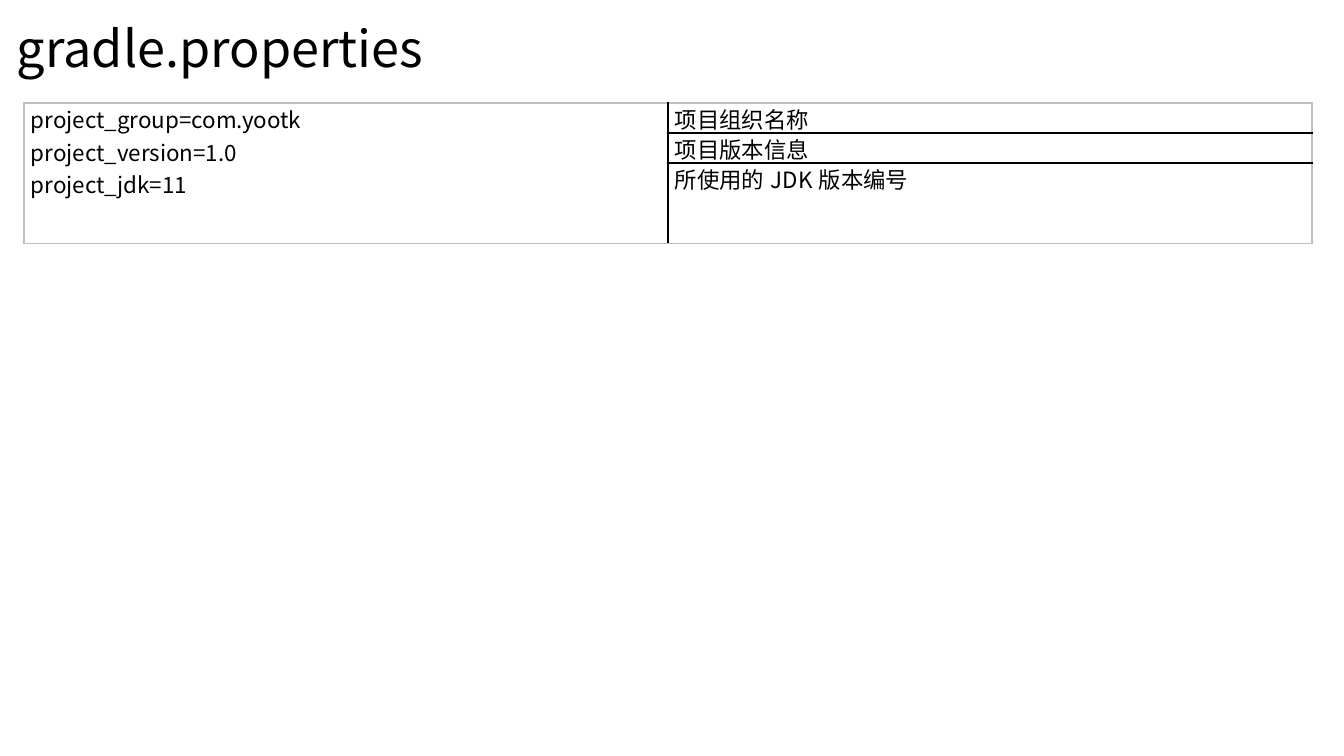
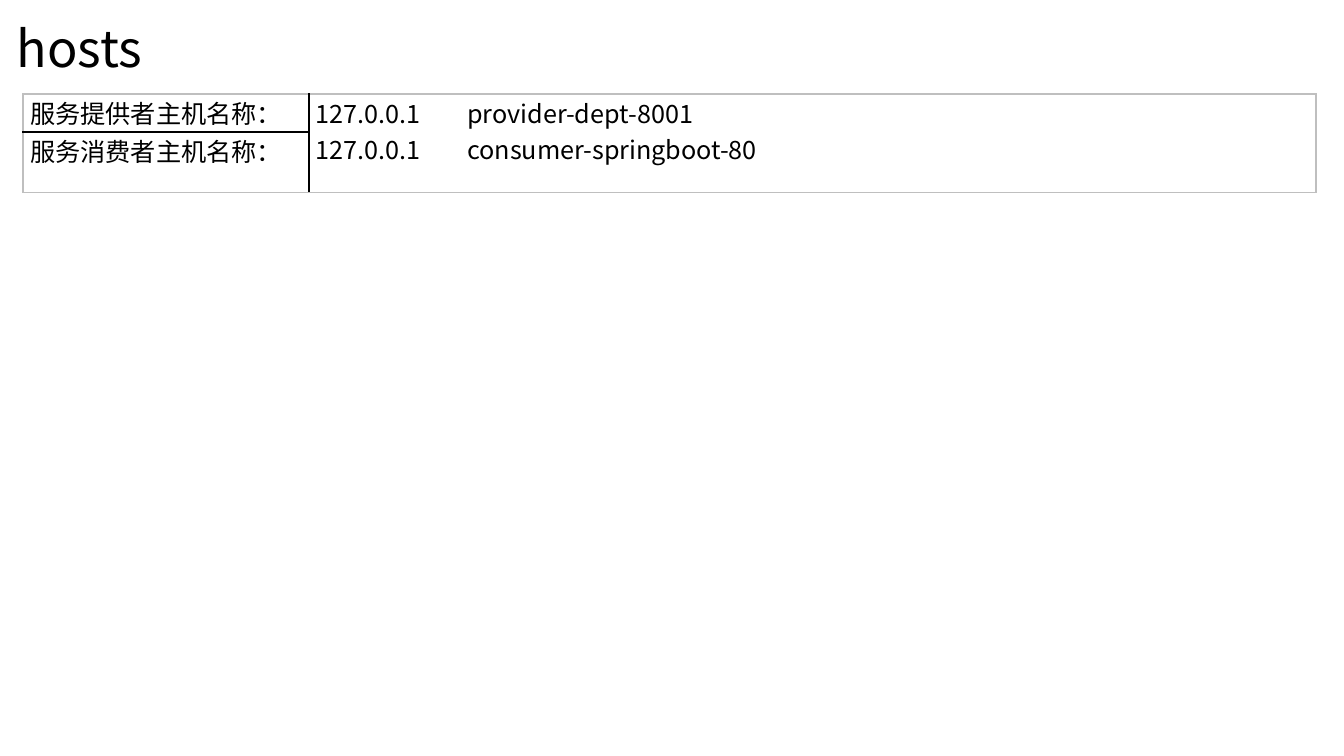
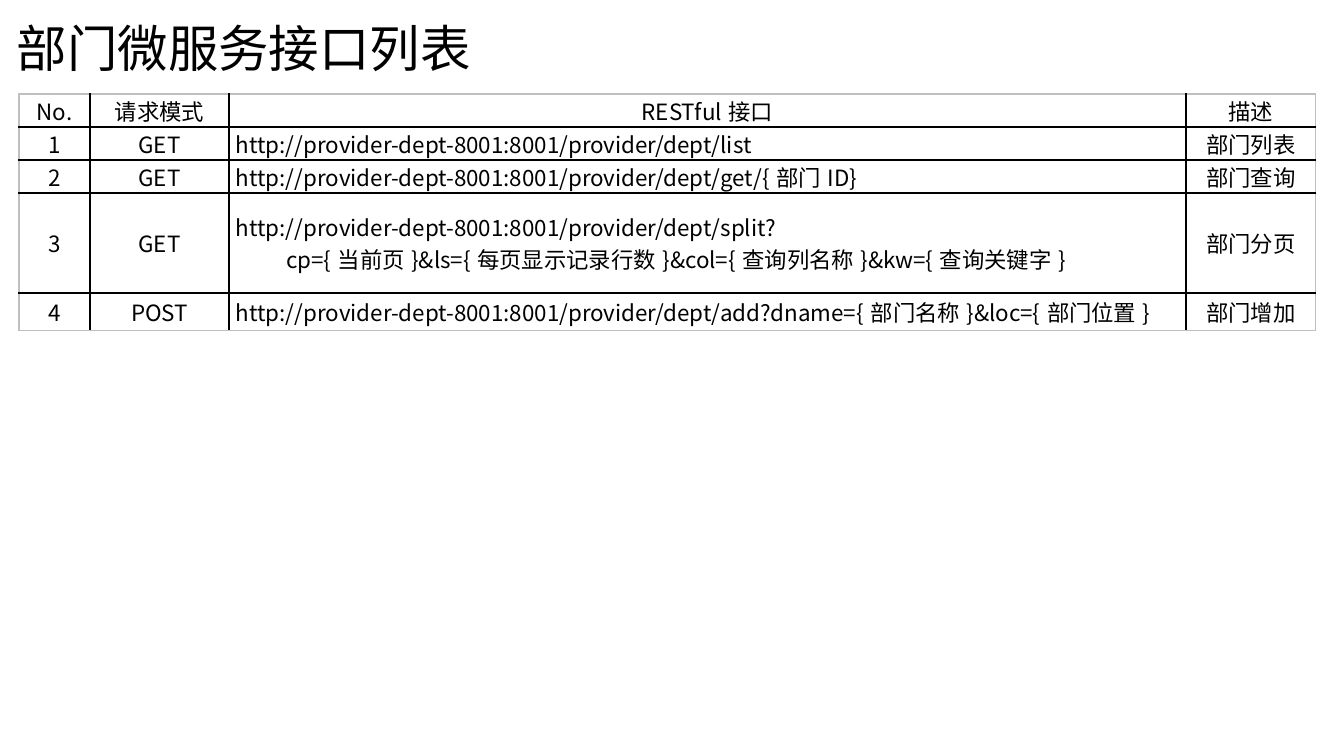
"""Build three slides, each with a title over one table."""
from lxml import etree
from pptx import Presentation, util as u
from pptx.dml.color import RGBColor
from pptx.enum import text
from pptx.oxml.ns import qn

PX = 914400 / 100.8
FONT = "Noto Sans CJK SC"
COLORS = {"text": "000000", "inner": "000000", "outer": "BFBFBF"}
LEFT, CENTER, JUSTIFY = (
    text.PP_ALIGN.LEFT, text.PP_ALIGN.CENTER, text.PP_ALIGN.JUSTIFY)
TOP, MIDDLE = text.MSO_ANCHOR.TOP, text.MSO_ANCHOR.MIDDLE


def px(length):
    """Turn pixels into EMU."""
    return u.Emu(round(length * PX))


def write_text(frame, content, size=16, align=LEFT, spacing=None):
    """Write each line of content as a formatted paragraph."""
    for index, line in enumerate(content.split("\n")):
        paragraph = frame.add_paragraph() if index else frame.paragraphs[0]
        paragraph.alignment = align
        if spacing:
            paragraph.line_spacing = spacing
        run = paragraph.add_run()
        run.text = line
        run.font.size = u.Pt(size)
        run.font.name = FONT
        run.font.color.rgb = RGBColor.from_string(COLORS["text"])
        properties = run.font._element
        etree.SubElement(properties, qn("a:ea"), typeface=FONT)


def add_title(slide, title):
    """Add the slide title."""
    box = slide.shapes.add_textbox(px(7), px(8), px(1326), px(86))
    frame = box.text_frame
    frame.word_wrap = True
    frame.vertical_anchor = MIDDLE
    write_text(frame, title, size=36, spacing=0.9)


def add_border(cell, side, color):
    """Draw one side of a cell."""
    properties = cell._tc.get_or_add_tcPr()
    line = etree.SubElement(properties, qn(f"a:ln{side}"), w=str(u.Pt(1)))
    fill = etree.SubElement(line, qn("a:solidFill"))
    etree.SubElement(fill, qn("a:srgbClr"), val=COLORS[color])


def format_cell(cell, outer_sides, anchor):
    """Set the insets, borders and fill of a cell."""
    cell.margin_left = cell.margin_right = px(7)
    cell.margin_top = cell.margin_bottom = 0
    cell.vertical_anchor = anchor
    for side in "LRTB":
        add_border(cell, side, "outer" if side in outer_sides else "inner")
    cell.fill.background()


def add_grid(slide, left, top, widths, heights, rows, aligns, size=16,
             anchor=TOP, header=False, merged_column=None):
    """Add a table; merged_column becomes one tall cell."""
    table = slide.shapes.add_table(
        len(rows), len(widths), px(left), px(top),
        px(sum(widths)), px(sum(heights))).table
    table.first_row = table.horz_banding = False
    for column, width in zip(table.columns, widths):
        column.width = px(width)
    for row, height in zip(table.rows, heights):
        row.height = px(height)
    last_row, last_column = len(rows) - 1, len(widths) - 1
    if merged_column is not None:
        table.cell(0, merged_column).merge(table.cell(last_row, merged_column))
    for i, row in enumerate(rows):
        for j, content in enumerate(row):
            cell = table.cell(i, j)
            bottom = i + (cell.span_height if cell.is_merge_origin else 1)
            edges = {"L": j == 0, "R": j == last_column,
                     "T": i == 0, "B": bottom > last_row}
            format_cell(cell, [side for side in edges if edges[side]], anchor)
            if content is not None:
                align = CENTER if header and i == 0 else aligns[j]
                write_text(cell.text_frame, content, size=size, align=align)


def add_slide(presentation, title, **grid):
    """Add a slide with its title and table."""
    slide = presentation.slides.add_slide(presentation.slide_layouts[6])
    add_title(slide, title)
    add_grid(slide, **grid)


def main():
    """Build and save the presentation."""
    presentation = Presentation()
    presentation.slide_width, presentation.slide_height = px(1344), px(756)

    add_slide(
        presentation, "gradle.properties", left=24, top=103,
        widths=[644] * 2, heights=[30] * 3, aligns=[LEFT] * 2, merged_column=0,
        rows=[
            ["project_group=com.yootk\nproject_version=1.0\nproject_jdk=11",
             "项目组织名称"],
            [None, "项目版本信息"],
            [None, "所使用的JDK版本编号"],
        ])

    add_slide(
        presentation, "hosts", left=23, top=94, size=18,
        widths=[286, 1007], heights=[38] * 2, aligns=[JUSTIFY] * 2,
        merged_column=1,
        rows=[
            ["服务提供者主机名称：",
             "127.0.0.1\tprovider-dept-8001\n"
             "127.0.0.1\tconsumer-springboot-80"],
            ["服务消费者主机名称：", None],
        ])

    base = "http://provider-dept-8001:8001/provider/dept/"
    add_slide(
        presentation, "部门微服务接口列表", left=19, top=94,
        widths=[71, 139, 957, 130], heights=[33, 33, 33, 100, 38],
        aligns=[CENTER, CENTER, LEFT, CENTER], anchor=MIDDLE, header=True,
        rows=[
            ["No.", "请求模式", "RESTful接口", "描述"],
            ["1", "GET", base + "list", "部门列表"],
            ["2", "GET", base + "get/{部门ID}", "部门查询"],
            ["3", "GET", base + "split?\n\tcp={当前页}&ls={每页显示记录行数}"
             "&col={查询列名称}&kw={查询关键字}", "部门分页"],
            ["4", "POST", base + "add?dname={部门名称}&loc={部门位置}",
             "部门增加"],
        ])

    presentation.save("out.pptx")


if __name__ == "__main__":
    main()
